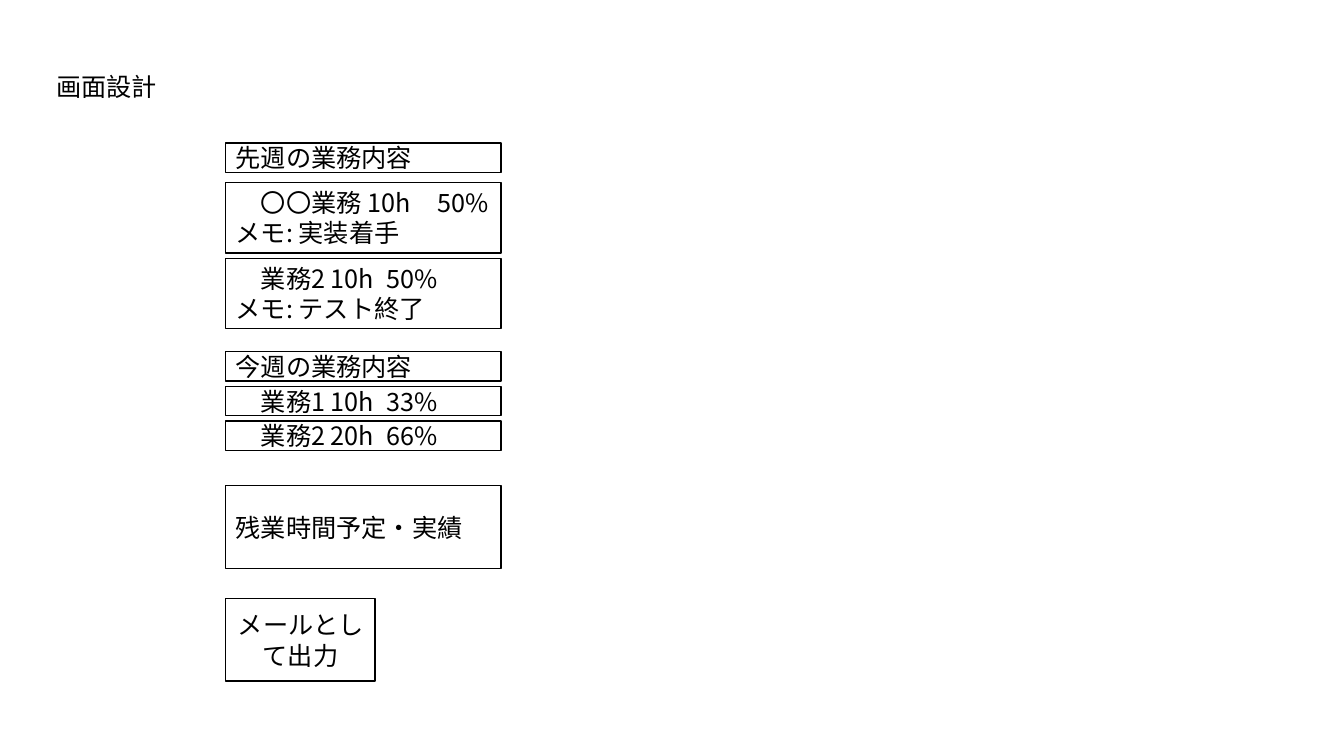
"""Build the screen design slide for the weekly work report."""
from dataclasses import dataclass

from lxml.etree import SubElement
from pptx import Presentation
from pptx.dml.color import RGBColor
from pptx.enum.shapes import MSO_SHAPE as SHAPE
from pptx.enum.text import MSO_ANCHOR as ANCHOR, MSO_AUTO_SIZE as AUTO, PP_ALIGN as ALIGN
from pptx.oxml.ns import qn
from pptx.util import Pt

FONT = "Noto Sans CJK JP"
LEFT, WIDTH = 161.3, 196.6
ROW, MEMO, PANEL = 20.9, 50.4, 59


@dataclass
class Box:
    """A bordered field of the screen, in points."""
    text: str
    top: float
    height: float = ROW
    width: float = WIDTH
    align: ALIGN = ALIGN.LEFT
    anchor: ANCHOR = ANCHOR.MIDDLE


BOXES = [
    Box("先週の業務内容", 102.2),
    Box("　〇〇業務 10h\t50%\nメモ: 実装着手", 130.3, MEMO, anchor=ANCHOR.TOP),
    Box("　業務2 10h\t50%\nメモ: テスト終了", 184.5, MEMO, anchor=ANCHOR.TOP),
    Box("今週の業務内容", 251.2),
    Box("　業務1 10h\t33%", 276),
    Box("　業務2 20h\t66%", 300.8),
    Box("残業時間予定・実績", 347, PANEL),
    Box("メールとして出力", 427.6, PANEL, 106.6, ALIGN.CENTER),
]


def color(value: str) -> RGBColor:
    """Return the colour of a hex string."""
    return RGBColor.from_string(value)


def write(tf, text: str, *, size: float = 18, fill: str = "000000", font: str = FONT,
          align: ALIGN = ALIGN.LEFT, anchor: ANCHOR = ANCHOR.TOP, wrap: bool = True) -> None:
    """Write one paragraph per line of text."""
    tf.word_wrap = wrap
    tf.vertical_anchor = anchor
    for i, line in enumerate(text.split("\n")):
        p = tf.add_paragraph() if i else tf.paragraphs[0]
        p.alignment = align
        r = p.add_run()
        r.text = line
        r.font.size = Pt(size)
        r.font.name = font
        r.font.color.rgb = color(fill)
        SubElement(r.font._element, qn("a:ea"), typeface=font)


def draw_box(s, box: Box) -> None:
    """Draw a white field with a thin black border."""
    sp = s.shapes.add_shape(SHAPE.RECTANGLE, Pt(LEFT), Pt(box.top), Pt(box.width), Pt(box.height))
    sp.shadow.inherit = False
    sp.fill.solid()
    sp.fill.fore_color.rgb = color("FFFFFF")
    sp.line.color.rgb = color("000000")
    sp.line.width = Pt(1)
    write(sp.text_frame, box.text, align=box.align, anchor=box.anchor)


def main() -> None:
    """Build and save the slide."""
    prs = Presentation()
    prs.slide_width, prs.slide_height = Pt(960), Pt(540)
    s = prs.slides.add_slide(prs.slide_layouts[6])
    for box in BOXES:
        draw_box(s, box)
    title = s.shapes.add_textbox(Pt(33.1), Pt(47.5), Pt(123.8), Pt(29))
    write(title.text_frame, "画面設計")
    title.text_frame.auto_size = AUTO.SHAPE_TO_FIT_TEXT
    prs.save("out.pptx")


if __name__ == "__main__":
    main()
